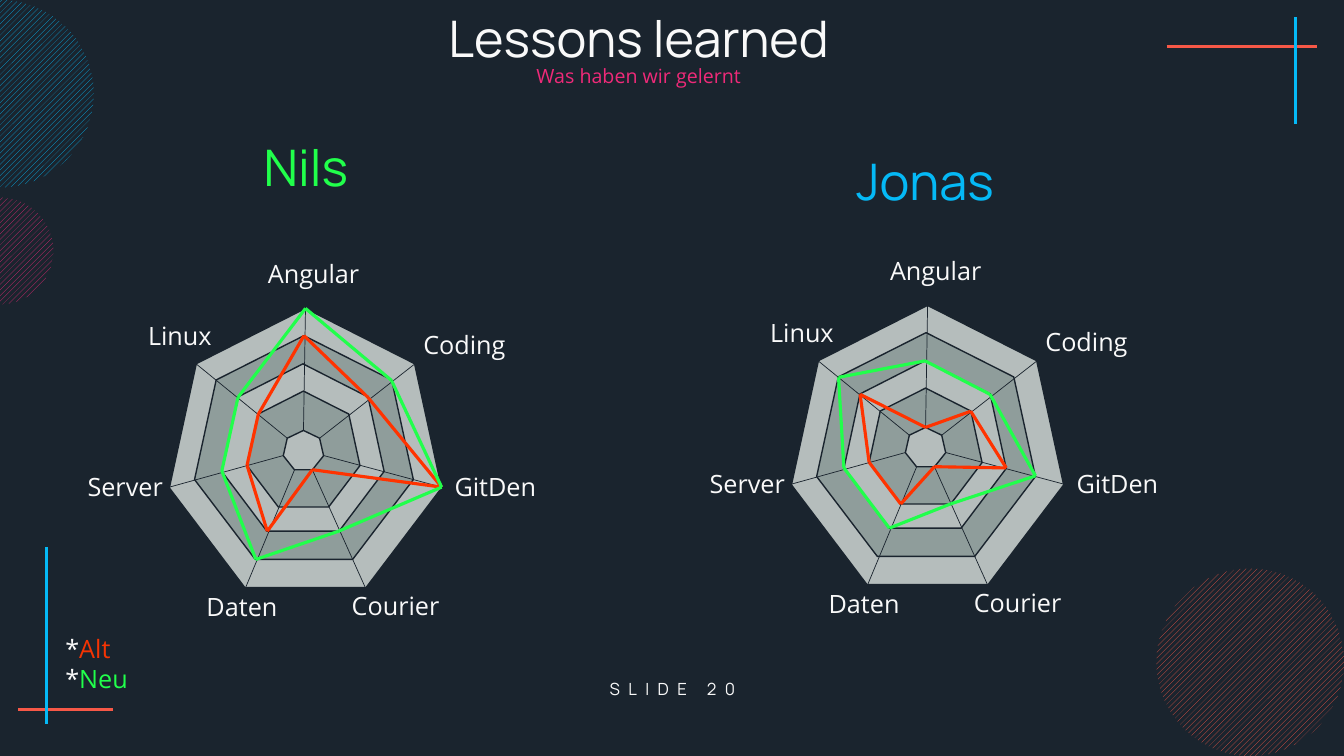
from dataclasses import dataclass
from itertools import pairwise
from typing import NamedTuple

from lxml.etree import SubElement
from pptx import Presentation
from pptx.dml.color import RGBColor
from pptx.enum.dml import MSO_PATTERN
from pptx.enum.shapes import MSO_CONNECTOR, MSO_SHAPE
from pptx.enum.text import MSO_ANCHOR, PP_ALIGN
from pptx.oxml.ns import qn
from pptx.slide import Slide
from pptx.util import Inches, Pt


@dataclass(frozen=True)
class Theme:
    background: str = "1A242E"
    white: str = "F9F9F9"
    coral: str = "F75847"
    blue: str = "05B9F6"
    pink: str = "EF2A79"
    green: str = "21FF4B"
    red: str = "FF3300"
    legend_red: str = "F53403"
    light_ring: str = "B5BDBC"
    dark_ring: str = "8F9D9B"
    heading_font: str = "Manrope"
    body_font: str = "Open Sans"
    heading: int = 36
    label: int = 18
    subtitle: int = 14
    footer: int = 12


THEME = Theme()


class Point(NamedTuple):
    x: float
    y: float


class Box(NamedTuple):
    left: float
    top: float
    width: float
    height: float


class Run(NamedTuple):
    text: str
    color: str
    size: int = THEME.label
    font: str = THEME.body_font


class Stroke(NamedTuple):
    start: Point
    end: Point
    color: str


class Disc(NamedTuple):
    box: Box
    color: str


class Skill(NamedTuple):
    name: str
    corner: Point  # fraction of a ring's box
    label: Point  # offset from the radar's origin


@dataclass(frozen=True)
class Radar:
    person: str
    color: str
    name_box: Box
    origin: Point
    old: tuple[int, ...]  # scores 1 to 5, in the order of SKILLS
    new: tuple[int, ...]


SKILLS = (
    Skill("Angular", Point(0.5, 0), Point(0.88, -0.55)),
    Skill("Coding", Point(0.9, 0.2), Point(2.42, 0.16)),
    Skill("GitDen", Point(1, 0.64), Point(2.73, 1.57)),
    Skill("Courier", Point(0.72, 1), Point(1.71, 2.75)),
    Skill("Daten", Point(0.28, 1), Point(0.27, 2.76)),
    Skill("Server", Point(0, 0.64), Point(-0.91, 1.57)),
    Skill("Linux", Point(0.1, 0.2), Point(-0.31, 0.07)),
)

# Ring boxes relative to the radar's origin, keyed by score
RINGS = {
    5: Box(0, 0, 2.7, 2.77),
    4: Box(0.25, 0.27, 2.17, 2.22),
    3: Box(0.52, 0.55, 1.61, 1.66),
    2: Box(0.77, 0.82, 1.12, 1.15),
    1: Box(1.13, 1.21, 0.4, 0.39),
}

RADARS = (
    Radar("Nils", THEME.green, Box(1.43, 1.37, 3.21, 0.64), Point(1.68, 3.06),
          old=(4, 3, 5, 1, 3, 2, 2), new=(5, 4, 5, 3, 4, 3, 3)),
    Radar("Jonas", THEME.blue, Box(7.57, 1.51, 3.21, 0.64), Point(7.85, 3.03),
          old=(1, 2, 3, 1, 2, 2, 3), new=(3, 3, 4, 2, 3, 3, 4)),
)

CROSS_STROKES = (
    Stroke(Point(11.57, 0.46), Point(13.06, 0.46), THEME.coral),
    Stroke(Point(12.85, 1.23), Point(12.85, 0.17), THEME.blue),
    Stroke(Point(1.12, 7.04), Point(0.18, 7.04), THEME.coral),
    Stroke(Point(0.46, 5.43), Point(0.46, 7.18), THEME.blue),
)

DISCS = (
    Disc(Box(11.47, 5.64, 1.86, 1.86), THEME.coral),
    Disc(Box(-0.53, 1.96, 1.06, 1.06), THEME.pink),
    Disc(Box(-0.93, 0, 1.86, 1.86), THEME.blue),
)


def rgb(color: str) -> RGBColor:
    return RGBColor.from_string(color)


def add_line(slide: Slide, stroke: Stroke, weight: float) -> None:
    ends = [Inches(value) for value in (*stroke.start, *stroke.end)]
    line = slide.shapes.add_connector(MSO_CONNECTOR.STRAIGHT, *ends)
    line.line.color.rgb = rgb(stroke.color)
    line.line.width = Pt(weight)
    SubElement(line._element.spPr, qn("a:effectLst"))


def add_text(slide: Slide, box: Box, *lines: tuple[Run, ...], centered: bool = False,
             line_spacing: float = 1.0, tracking: int = 0) -> None:
    frame = slide.shapes.add_textbox(*map(Inches, box)).text_frame
    frame.word_wrap = True
    frame.vertical_anchor = MSO_ANCHOR.MIDDLE if centered else MSO_ANCHOR.TOP
    for index, runs in enumerate(lines):
        paragraph = frame.add_paragraph() if index else frame.paragraphs[0]
        paragraph.alignment = PP_ALIGN.CENTER if centered else PP_ALIGN.LEFT
        paragraph.line_spacing = line_spacing
        for part in runs:
            run = paragraph.add_run()
            run.text = part.text
            run.font.size = Pt(part.size)
            run.font.name = part.font
            run.font.color.rgb = rgb(part.color)
            if tracking:
                run.font._element.set("spc", str(tracking * 100))


def add_disc(slide: Slide, disc: Disc) -> None:
    shape = slide.shapes.add_shape(MSO_SHAPE.OVAL, *map(Inches, disc.box))
    shape.shadow.inherit = False
    shape.fill.patterned()
    shape.fill.pattern = MSO_PATTERN.WIDE_UPWARD_DIAGONAL
    shape.fill.fore_color.rgb = rgb(disc.color)
    shape.fill.back_color.rgb = rgb(THEME.background)
    shape.line.fill.background()


def ring_box(radar: Radar, score: int) -> Box:
    ring = RINGS[score]
    return Box(radar.origin.x + ring.left, radar.origin.y + ring.top, ring.width, ring.height)


def score_point(radar: Radar, skill: Skill, score: int) -> Point:
    box = ring_box(radar, score)
    return Point(box.left + skill.corner.x * box.width, box.top + skill.corner.y * box.height)


def add_radar(slide: Slide, radar: Radar) -> None:
    # Rings, from the outside in
    for score in RINGS:
        ring = slide.shapes.add_shape(MSO_SHAPE.HEPTAGON, *map(Inches, ring_box(radar, score)))
        ring.shadow.inherit = False
        ring.fill.solid()
        ring.fill.fore_color.rgb = rgb(THEME.light_ring if score % 2 else THEME.dark_ring)
        ring.line.color.rgb = rgb(THEME.background)
        ring.line.width = Pt(1)
    # Spokes and skill labels
    for skill in SKILLS:
        outer, inner = (score_point(radar, skill, score) for score in (5, 1))
        add_line(slide, Stroke(outer, inner, THEME.background), 0.5)
        label_box = Box(radar.origin.x + skill.label.x, radar.origin.y + skill.label.y, 1.54, 0.4)
        add_text(slide, label_box, (Run(skill.name, THEME.white),))
    # Score outlines
    for scores, color in ((radar.old, THEME.red), (radar.new, THEME.green)):
        points = [score_point(radar, skill, score) for skill, score in zip(SKILLS, scores)]
        for start, end in pairwise([*points, points[0]]):
            add_line(slide, Stroke(start, end, color), 2.25)
    add_text(slide, radar.name_box,
             (Run(radar.person, radar.color, THEME.heading, THEME.heading_font),),
             centered=True, line_spacing=0.9)


def main() -> None:
    deck = Presentation()
    deck.slide_width, deck.slide_height = Inches(13.33), Inches(7.5)
    slide = deck.slides.add_slide(deck.slide_layouts[6])
    slide.background.fill.solid()
    slide.background.fill.fore_color.rgb = rgb(THEME.background)

    # Corner decoration
    for stroke in CROSS_STROKES:
        add_line(slide, stroke, 2)
    for disc in DISCS:
        add_disc(slide, disc)

    # Footer and headings
    add_text(slide, Box(5.63, 6.63, 2.08, 0.41),
             (Run("SLIDE 20", THEME.white, THEME.footer, THEME.heading_font),),
             centered=True, tracking=6)
    add_text(slide, Box(0.12, 0.45, 12.43, 0.64),
             (Run("Was haben wir gelernt", THEME.pink, THEME.subtitle),),
             centered=True, line_spacing=0.9)
    add_text(slide, Box(0.12, 0.09, 12.43, 0.64),
             (Run("Lessons learned", THEME.white, THEME.heading, THEME.heading_font),),
             centered=True, line_spacing=0.9)

    # Radars and legend
    for radar in RADARS:
        add_radar(slide, radar)
    star = Run("*", THEME.white)
    add_text(slide, Box(0.55, 6.23, 0.87, 0.71),
             (star, Run("Alt", THEME.legend_red)), (star, Run("Neu", THEME.green)))
    deck.save("out.pptx")


if __name__ == "__main__":
    main()
